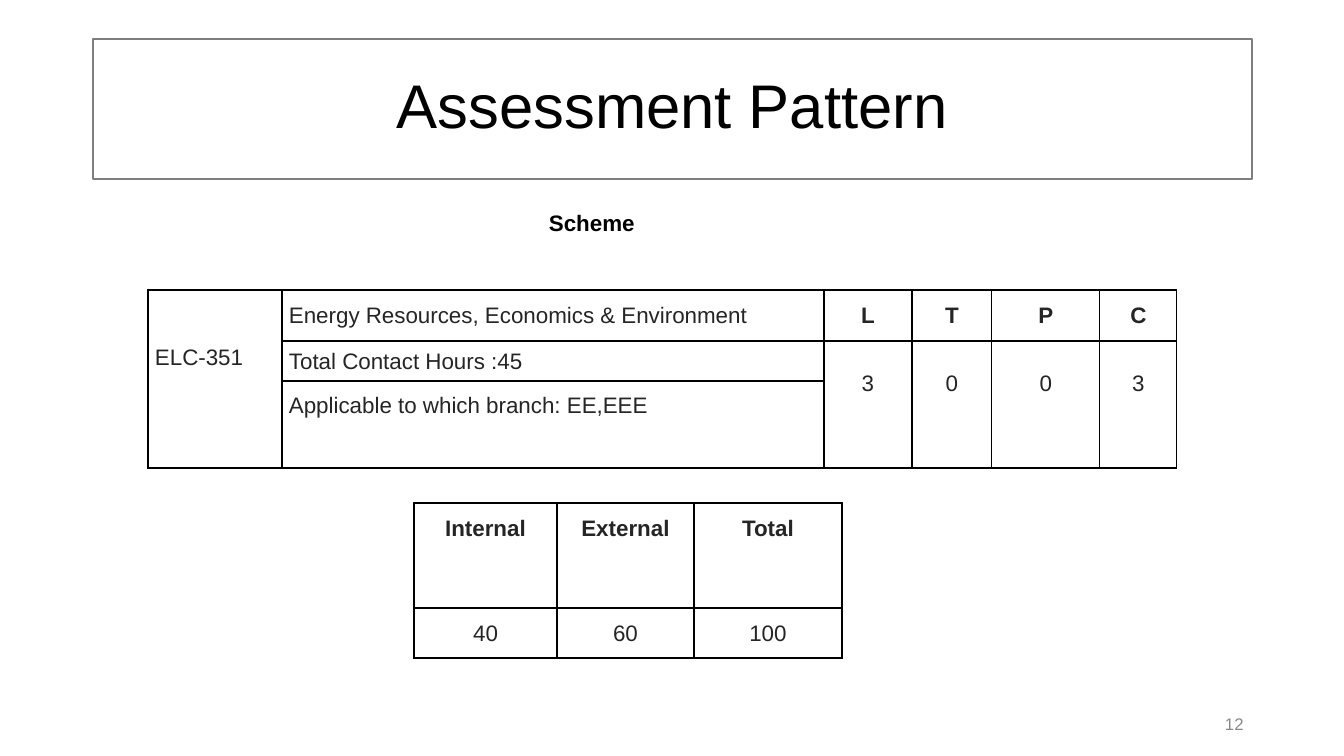
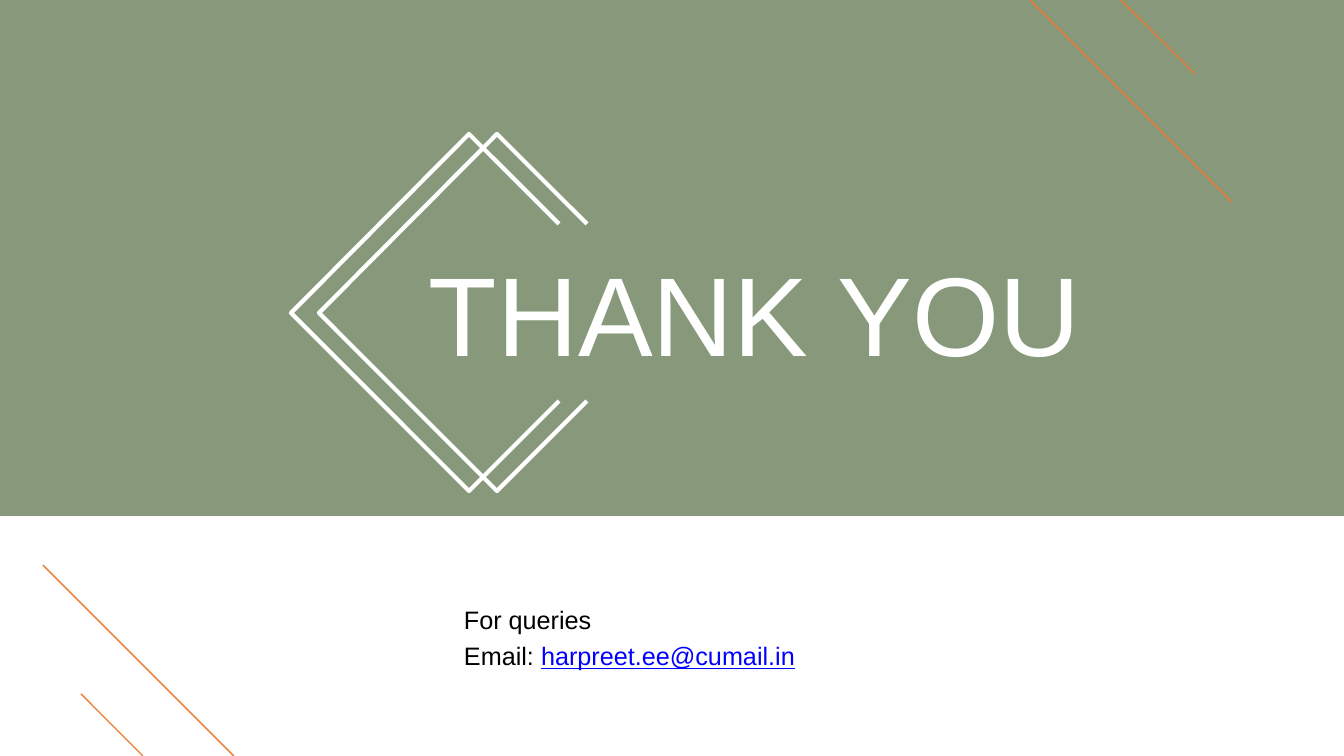
"""Build the assessment and closing slides."""
from dataclasses import dataclass

from lxml import etree
from pptx import Presentation
from pptx.dml.color import RGBColor
from pptx.enum.shapes import MSO_CONNECTOR, MSO_SHAPE
from pptx.enum.text import MSO_ANCHOR, MSO_AUTO_SIZE, PP_ALIGN
from pptx.oxml.ns import qn
from pptx.shapes.autoshape import Shape
from pptx.slide import Slide
from pptx.table import _Cell
from pptx.text.text import TextFrame, _Paragraph
from pptx.util import Emu, Pt

WIDE, HIGH = 1344, 756
SCALE = 12192000 / WIDE
FACE = "Arial"
BLACK = RGBColor(0x00, 0x00, 0x00)
WHITE = RGBColor(0xFF, 0xFF, 0xFF)
INK = RGBColor(0x25, 0x25, 0x25)
GRAY = RGBColor(0x88, 0x88, 0x88)
EDGE = RGBColor(0x7E, 0x7E, 0x7E)
GREEN = RGBColor(0x38, 0x56, 0x22)
ORANGE = RGBColor(0xEC, 0x7C, 0x30)
BLUE = RGBColor(0x00, 0x00, 0xFF)
LEFT, MID = PP_ALIGN.LEFT, PP_ALIGN.CENTER
TOP = MSO_ANCHOR.TOP
FIXED = MSO_AUTO_SIZE.NONE
RECT = MSO_SHAPE.RECTANGLE
LINE = MSO_CONNECTOR.STRAIGHT


@dataclass(frozen=True)
class Box:
    x: int
    y: int
    w: int
    h: int


@dataclass(frozen=True)
class Item:
    row: int
    col: int
    text: str
    top: int = 13
    bold: bool = False
    align: PP_ALIGN = MID
    span: int = 1


@dataclass(frozen=True)
class Grid:
    x: int
    y: int
    cols: tuple[int, ...]
    rows: tuple[int, ...]
    items: tuple[Item, ...]


@dataclass(frozen=True)
class Stroke:
    x: int
    y: int
    size: int


HEADS = ("L", "T", "P", "C")
HOURS = ("3", "0", "0", "3")
COURSE = Grid(148, 290, (134, 542, 88, 80, 108, 77), (51, 40, 87), (
    Item(0, 0, "ELC-351", top=55, align=LEFT, span=3),
    Item(0, 1, "Energy Resources, Economics & Environment", align=LEFT),
    Item(1, 1, "Total Contact Hours :45", top=8, align=LEFT),
    Item(2, 1, "Applicable to which branch: EE,EEE", top=12, align=LEFT),
    *(Item(0, col, text, bold=True) for col, text in enumerate(HEADS, 2)),
    *(Item(1, col, text, top=30, span=2) for col, text in enumerate(HOURS, 2)),
))
PARTS = ("Internal", "External", "Total")
MARKS = ("40", "60", "100")
SCORE = Grid(414, 503, (143, 137, 148), (105, 50), (
    *(Item(0, col, text, bold=True) for col, text in enumerate(PARTS)),
    *(Item(1, col, text) for col, text in enumerate(MARKS)),
))
STROKES = (Stroke(1030, 0, 202), Stroke(1121, 0, 74),
           Stroke(81, 694, 62), Stroke(43, 565, 191))
HOOK = ((268, 267), (178, 357), (0, 179), (178, 0), (268, 90))


def px(num: int) -> Emu:
    return Emu(round(num * SCALE))


def write(para: _Paragraph, text: str, *, size: int = 16, color: RGBColor = INK,
          bold: bool = False, under: bool = False, align: PP_ALIGN = LEFT,
          space: float = 1.0) -> None:
    para.alignment = align
    para.line_spacing = space
    run = para.add_run()
    run.text = text
    font = run.font
    font.name, font.size, font.bold = FACE, Pt(size), bold
    font.underline = under
    font.color.rgb = color


def place(shape: Shape, box: Box, top: int = 0) -> TextFrame:
    shape.left, shape.top = px(box.x), px(box.y)
    shape.width, shape.height = px(box.w), px(box.h)
    frame = shape.text_frame
    frame.auto_size, frame.word_wrap = FIXED, True
    frame.vertical_anchor = TOP
    frame.margin_left = frame.margin_right = frame.margin_bottom = 0
    frame.margin_top = px(top)
    return frame


def label(slide: Slide, box: Box, top: int = 0) -> TextFrame:
    return place(slide.shapes.add_textbox(0, 0, 0, 0), box, top)


def head(slide: Slide, text: str, box: Box, *, top: int, size: int,
         color: RGBColor, align: PP_ALIGN) -> Shape:
    shape = slide.shapes.title
    frame = place(shape, box, top)
    write(frame.paragraphs[0], text, size=size, color=color, align=align)
    return shape


def frame_cell(cell: _Cell) -> None:
    props = cell._tc.get_or_add_tcPr()
    for side in ("lnL", "lnR", "lnT", "lnB"):
        line = etree.SubElement(props, qn(f"a:{side}"), w=str(Pt(1)))
        fill = etree.SubElement(line, qn("a:solidFill"))
        etree.SubElement(fill, qn("a:srgbClr"), val=str(BLACK))
    cell.fill.background()
    cell.margin_left = cell.margin_right = 0
    cell.margin_top = cell.margin_bottom = 0


def draw_grid(slide: Slide, grid: Grid) -> None:
    table = slide.shapes.add_table(
        len(grid.rows), len(grid.cols), px(grid.x), px(grid.y),
        px(sum(grid.cols)), px(sum(grid.rows))).table
    table.first_row = table.horz_banding = False
    for col, wide in zip(table.columns, grid.cols):
        col.width = px(wide)
    for row, high in zip(table.rows, grid.rows):
        row.height = px(high)
    for cell in table.iter_cells():
        frame_cell(cell)
    for item in grid.items:
        cell = table.cell(item.row, item.col)
        if item.span > 1:
            cell.merge(table.cell(item.row + item.span - 1, item.col))
        cell.margin_top = px(item.top)
        cell.margin_left = px(7 if item.align == LEFT else 0)
        write(cell.text_frame.paragraphs[0], item.text,
              bold=item.bold, align=item.align)


def draw_band(slide: Slide, high: int) -> None:
    band = slide.shapes.add_shape(RECT, 0, 0, px(WIDE), px(high))
    band.shadow.inherit = False
    band.line.fill.background()
    band.fill.solid()
    band.fill.fore_color.rgb = GREEN
    tint = band.element.spPr.find(qn("a:solidFill")).find(qn("a:srgbClr"))
    etree.SubElement(tint, qn("a:alpha"), val="60000")
    slide.shapes.title.element.addprevious(band.element)


def draw_stroke(slide: Slide, mark: Stroke) -> None:
    line = slide.shapes.add_connector(
        LINE, px(mark.x), px(mark.y),
        px(mark.x + mark.size), px(mark.y + mark.size))
    line.line.color.rgb = ORANGE
    line.line.width = Pt(1)
    etree.SubElement(line.element.spPr, qn("a:effectLst"))


def draw_hook(slide: Slide, x: int, y: int) -> None:
    spots = [(x + dx, y + dy) for dx, dy in HOOK]
    pen = slide.shapes.build_freeform(*spots[0], scale=SCALE)
    pen.add_line_segments(spots[1:], close=False)
    hook = pen.convert_to_shape()
    hook.shadow.inherit = False
    hook.fill.background()
    hook.line.color.rgb = WHITE
    hook.line.width = Pt(3)


def draw_scheme(slide: Slide) -> None:
    title = head(slide, "Assessment Pattern", Box(93, 39, 1159, 140),
                 top=28, size=44, color=BLACK, align=MID)
    title.line.color.rgb = EDGE
    title.line.width = Pt(1)
    page = label(slide, Box(1225, 713, 30, 19))
    write(page.paragraphs[0], "12", size=12, color=GRAY, space=1.03)
    draw_grid(slide, COURSE)
    name = label(slide, Box(549, 208, 95, 30), top=1)
    write(name.paragraphs[0], "Scheme", color=BLACK, bold=True)
    draw_grid(slide, SCORE)


def draw_thanks(slide: Slide) -> None:
    head(slide, "THANK YOU", Box(429, 244, 670, 137),
         top=1, size=80, color=WHITE, align=LEFT)
    draw_band(slide, 516)
    for mark in STROKES:
        draw_stroke(slide, mark)
    for x in (291, 319):
        draw_hook(slide, x, 134)
    note = label(slide, Box(464, 598, 345, 72), top=1)
    write(note.paragraphs[0], "For queries", size=18, color=BLACK, space=1.19)
    mail = note.add_paragraph()
    write(mail, "Email: ", size=18, color=BLACK, space=1.19)
    write(mail, "harpreet.ee@cumail.in", size=18, color=BLUE,
          under=True, space=1.19)


def main() -> None:
    deck = Presentation()
    deck.slide_width, deck.slide_height = px(WIDE), px(HIGH)
    plain = deck.slide_layouts.get_by_name("Title Only")
    for draw in (draw_scheme, draw_thanks):
        draw(deck.slides.add_slide(plain))
    deck.save("out.pptx")


if __name__ == "__main__":
    main()
